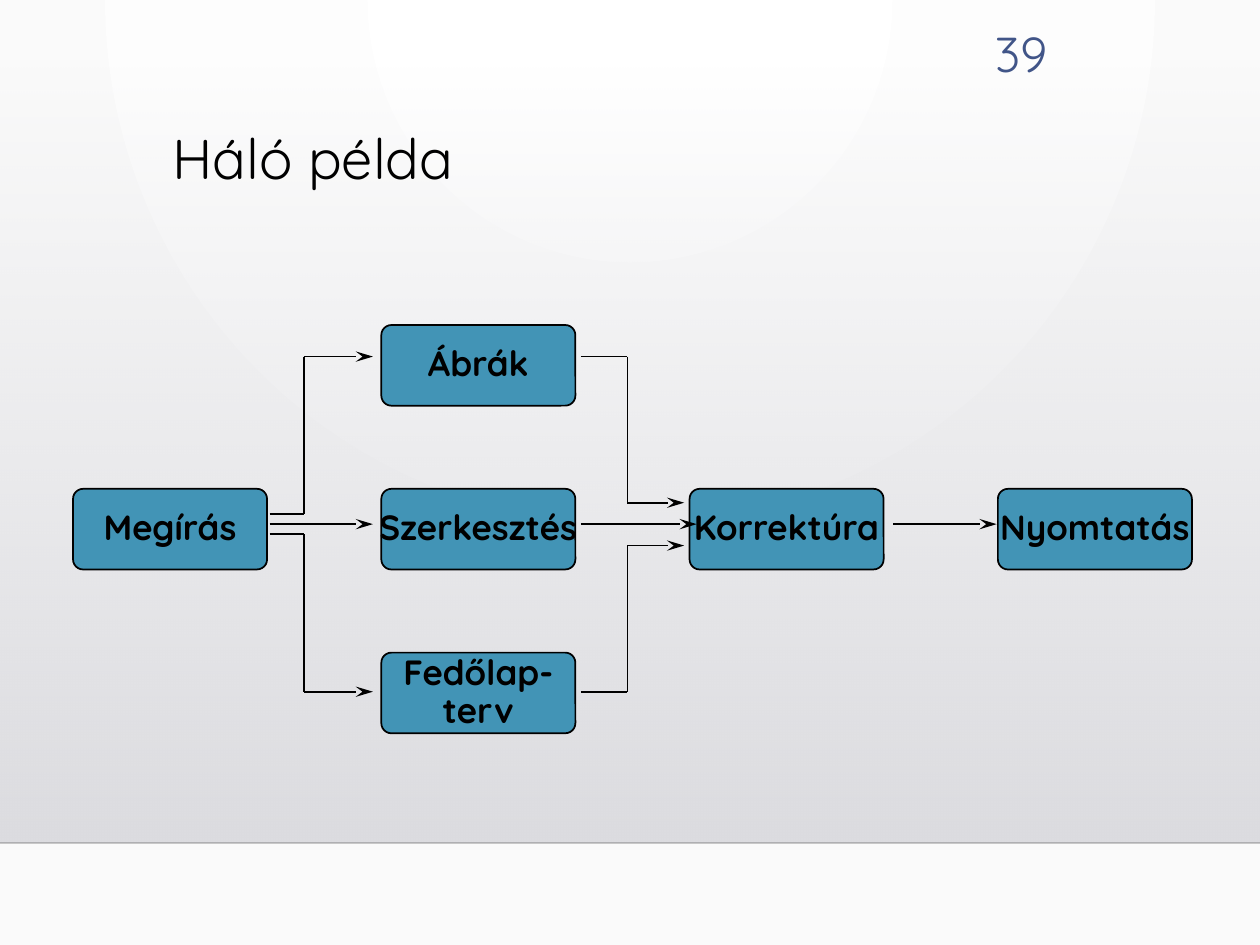
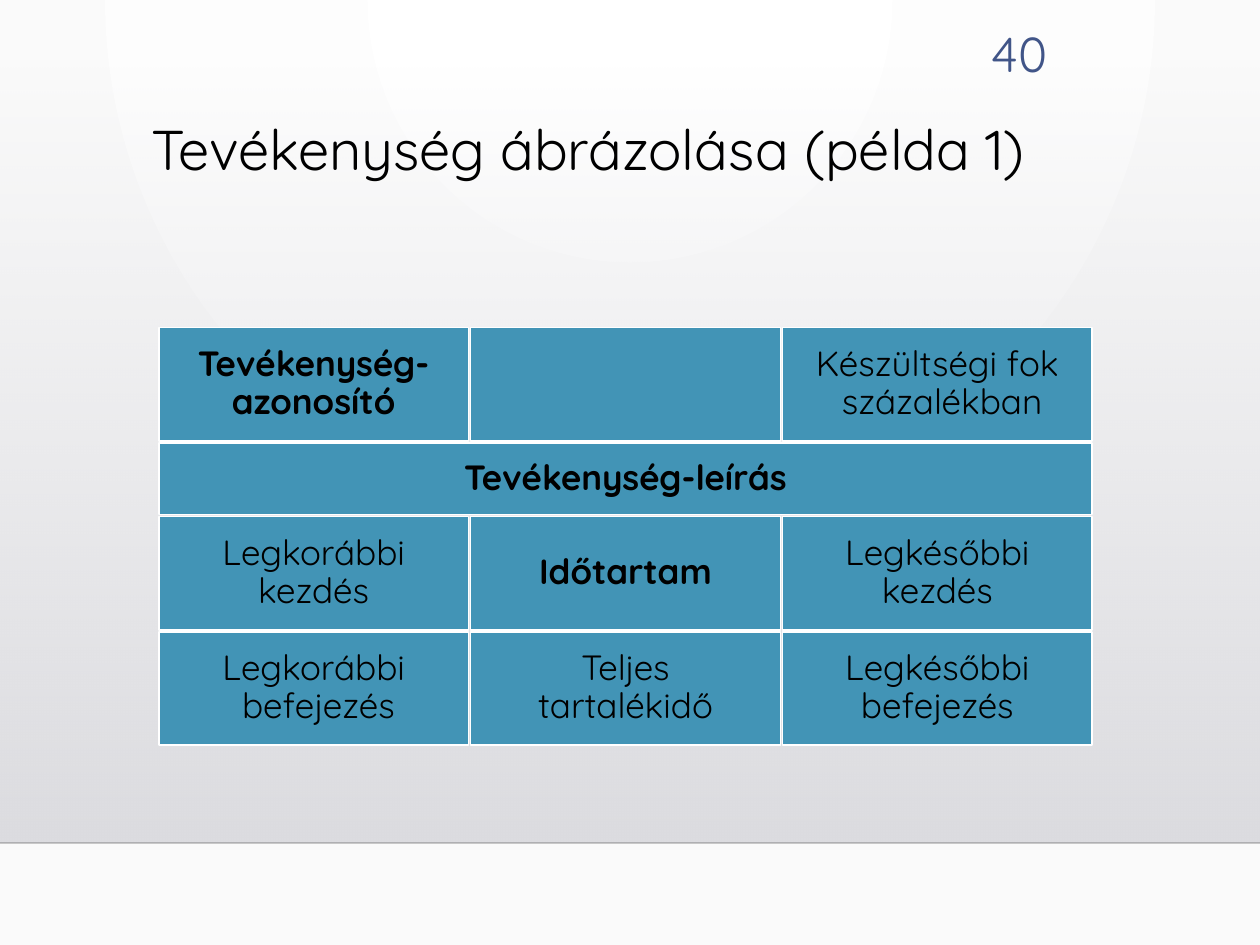
"""Two slides on network planning: a task network and the layout of one activity box."""
import pptx
import pptx.dml.color
import pptx.enum.shapes
import pptx.enum.text
import pptx.oxml
import pptx.oxml.ns
import pptx.util
from pptx.util import Inches, Pt

FONT = "Quicksand"
COLORS = {
    "text": "000000", "number": "415588", "box": "4294B6", "edge": "000000",
    "cell_edge": "FFFFFF", "rule": "000001", "glow": "FFFFFF", "paper": "FAFAFA",
    "haze_top": "DCDCE0", "haze_bottom": "DEDEE2",
}

NETWORK = {"title": "Háló példa", "number": "39", "title_at": (1.27, 0.99)}
TASKS = [
    (1, 1, ["Szerkesztés"]),
    (0, 1, ["Megírás"]),
    (1, 0, ["Ábrák"]),
    (2, 1, ["Korrektúra"]),
    (3, 1, ["Nyomtatás"]),
    (1, 2, ["Fedőlap-", "terv"]),
]
TASK_LEFT, TASK_TOP = 0.58, 2.58
TASK_WIDTH, TASK_HEIGHT = 1.54, 0.64
TASK_STEP_X, TASK_STEP_Y = 7.34 / 3, 1.3

AXIS = 4.16
BRANCH = 1.33
FLOWS = [
    [(2.14, AXIS), (2.96, AXIS)],
    [(4.61, AXIS), (5.53, AXIS)],
    [(7.09, AXIS), (7.91, AXIS)],
]
for side in (-1, 1):
    outer = AXIS + side * BRANCH
    leaving = AXIS + side * 0.08
    arriving = AXIS + side * 0.17
    FLOWS.append([(2.14, leaving), (2.41, leaving), (2.41, outer), (2.96, outer)])
    FLOWS.append([(4.61, outer), (4.98, outer), (4.98, arriving), (5.43, arriving)])

ACTIVITY = {"title": "Tevékenység ábrázolása (példa 1)", "number": "40", "title_at": (1.1, 0.92)}
ACTIVITY_ROWS = [
    (0.9, [(["Tevékenység-", "azonosító"], True), ([], False),
           (["Készültségi fok", " százalékban"], False)]),
    (0.57, [(["Tevékenység-leírás"], True)]),
    (0.9, [(["Legkorábbi", "kezdés"], False), (["Időtartam"], True),
           (["Legkésőbbi", "kezdés"], False)]),
    (0.9, [(["Legkorábbi", " befejezés"], False), (["Teljes", "tartalékidő"], False),
           (["Legkésőbbi", "befejezés"], False)]),
]
GRID_LEFT, GRID_TOP, GRID_WIDTH, GRID_GAP = 1.26, 2.6, 7.41, 0.015


def rgb(name):
    return pptx.dml.color.RGBColor.from_string(COLORS[name])


def gradient(stops, direction):
    stop_xml = "".join(
        f'<a:gs pos="{pos}"><a:srgbClr val="{COLORS[name]}"><a:alpha val="{alpha}"/></a:srgbClr></a:gs>'
        for pos, name, alpha in stops)
    return pptx.oxml.parse_xml(
        f'<a:gradFill {pptx.oxml.ns.nsdecls("a")} rotWithShape="1">'
        f'<a:gsLst>{stop_xml}</a:gsLst>{direction}</a:gradFill>')


def set_gradient(fill, properties, stops, direction):
    fill.gradient()
    properties.replace(properties.find(pptx.oxml.ns.qn("a:gradFill")), gradient(stops, direction))


def format_text(frame, size, color, bold=False, align=None, spacing=None):
    for paragraph in frame.paragraphs:
        paragraph.alignment = align
        paragraph.line_spacing = spacing
        for run in paragraph.runs:
            run.font.name = FONT
            run.font.size = Pt(size)
            run.font.bold = bold
            run.font.color.rgb = rgb(color)


def add_line(slide, start, end, color, arrow=False):
    line = slide.shapes.add_connector(
        pptx.enum.shapes.MSO_CONNECTOR.STRAIGHT, *(Inches(v) for v in (*start, *end)))
    line.line.color.rgb = rgb(color)
    line.line.width = Pt(1)
    if arrow:
        line.line._get_or_add_ln().append(pptx.oxml.parse_xml(
            f'<a:tailEnd {pptx.oxml.ns.nsdecls("a")} type="stealth" w="med" len="lg"/>'))
    line._element.spPr.append(pptx.oxml.parse_xml(f'<a:effectLst {pptx.oxml.ns.nsdecls("a")}/>'))
    return line


def add_box(slide, kind, at, lines, edge, bold):
    box = slide.shapes.add_shape(kind, *(Inches(v) for v in at))
    box.shadow.inherit = False
    box.fill.solid()
    box.fill.fore_color.rgb = rgb("box")
    box.line.color.rgb = rgb(edge)
    box.line.width = Pt(1)
    if lines:
        frame = box.text_frame
        frame.text = "\n".join(lines)
        frame.word_wrap = False
        frame.vertical_anchor = pptx.enum.text.MSO_ANCHOR.MIDDLE
        format_text(frame, 20, "text", bold, pptx.enum.text.PP_ALIGN.CENTER, 0.9)
    return box


def decorate_layout(layout, slide):
    """Give the layout its backdrop, drawing the parts on a slide first."""
    for placeholder in list(layout.placeholders):
        if placeholder.placeholder_format.idx != 0:
            placeholder._element.getparent().remove(placeholder._element)
    backdrop = layout.background.fill
    backdrop.solid()
    properties = layout._element.cSld.bg.bgPr
    set_gradient(backdrop, properties, [(0, "glow", 100000), (100000, "paper", 100000)],
                 '<a:path path="circle"><a:fillToRect l="43000" r="43000" b="100000"/></a:path>')
    haze = slide.shapes.add_shape(pptx.enum.shapes.MSO_SHAPE.RECTANGLE,
                                  0, Inches(0.51), Inches(10), Inches(6.18))
    haze.shadow.inherit = False
    haze.line.fill.background()
    set_gradient(haze.fill, haze._element.spPr,
                 [(0, "haze_top", 0), (100000, "haze_bottom", 100000)],
                 '<a:lin ang="5400000" scaled="0"/>')
    rule = add_line(slide, (0, 6.69), (10, 6.69), "rule")
    rule_color = rule._element.spPr.find(".//" + pptx.oxml.ns.qn("a:srgbClr"))
    rule_color.append(pptx.oxml.parse_xml(f'<a:alpha {pptx.oxml.ns.nsdecls("a")} val="20000"/>'))
    for position, part in enumerate((haze, rule), start=2):
        layout.shapes._spTree.insert(position, part._element)


def add_heading(slide, content):
    title = slide.shapes.title
    title.left, title.top = (Inches(v) for v in content["title_at"])
    title.width, title.height = Inches(8.42), Inches(0.92)
    title.text_frame.text = content["title"]
    title.text_frame.auto_size = pptx.enum.text.MSO_AUTO_SIZE.NONE
    title.text_frame.vertical_anchor = pptx.enum.text.MSO_ANCHOR.TOP
    format_text(title.text_frame, 32, "text", align=pptx.enum.text.PP_ALIGN.LEFT, spacing=0.9)
    number = slide.shapes.add_textbox(Inches(7.54), Inches(0.14), Inches(0.87), Inches(0.55))
    number.text_frame.word_wrap = True
    number.text_frame.text = content["number"]
    format_text(number.text_frame, 28, "number", align=pptx.enum.text.PP_ALIGN.RIGHT)


def draw_network(slide):
    for column, row, lines in TASKS:
        at = (TASK_LEFT + column * TASK_STEP_X, TASK_TOP + row * TASK_STEP_Y,
              TASK_WIDTH, TASK_HEIGHT)
        task = add_box(slide, pptx.enum.shapes.MSO_SHAPE.ROUNDED_RECTANGLE, at, lines, "edge", True)
        task.adjustments[0] = 0.125
    for flow in FLOWS:
        for start, end in zip(flow, flow[1:]):
            add_line(slide, start, end, "edge", arrow=end == flow[-1])


def draw_activity(slide):
    top = GRID_TOP
    for height, cells in ACTIVITY_ROWS:
        width = (GRID_WIDTH - GRID_GAP * (len(cells) - 1)) / len(cells)
        for column, (lines, bold) in enumerate(cells):
            at = (GRID_LEFT + column * (width + GRID_GAP), top, width, height)
            add_box(slide, pptx.enum.shapes.MSO_SHAPE.RECTANGLE, at, lines, "cell_edge", bold)
        top += height + GRID_GAP


def main():
    deck = pptx.Presentation()
    deck.slide_width, deck.slide_height = Inches(10), Inches(7.5)
    layout = deck.slide_layouts.get_by_name("Title Only")
    for content, draw in ((NETWORK, draw_network), (ACTIVITY, draw_activity)):
        slide = deck.slides.add_slide(layout)
        if len(deck.slides) == 1:
            decorate_layout(layout, slide)
            for placeholder in list(slide.placeholders):
                if placeholder.placeholder_format.idx != 0:
                    placeholder._element.getparent().remove(placeholder._element)
        add_heading(slide, content)
        draw(slide)
    deck.save("out.pptx")


if __name__ == "__main__":
    main()
